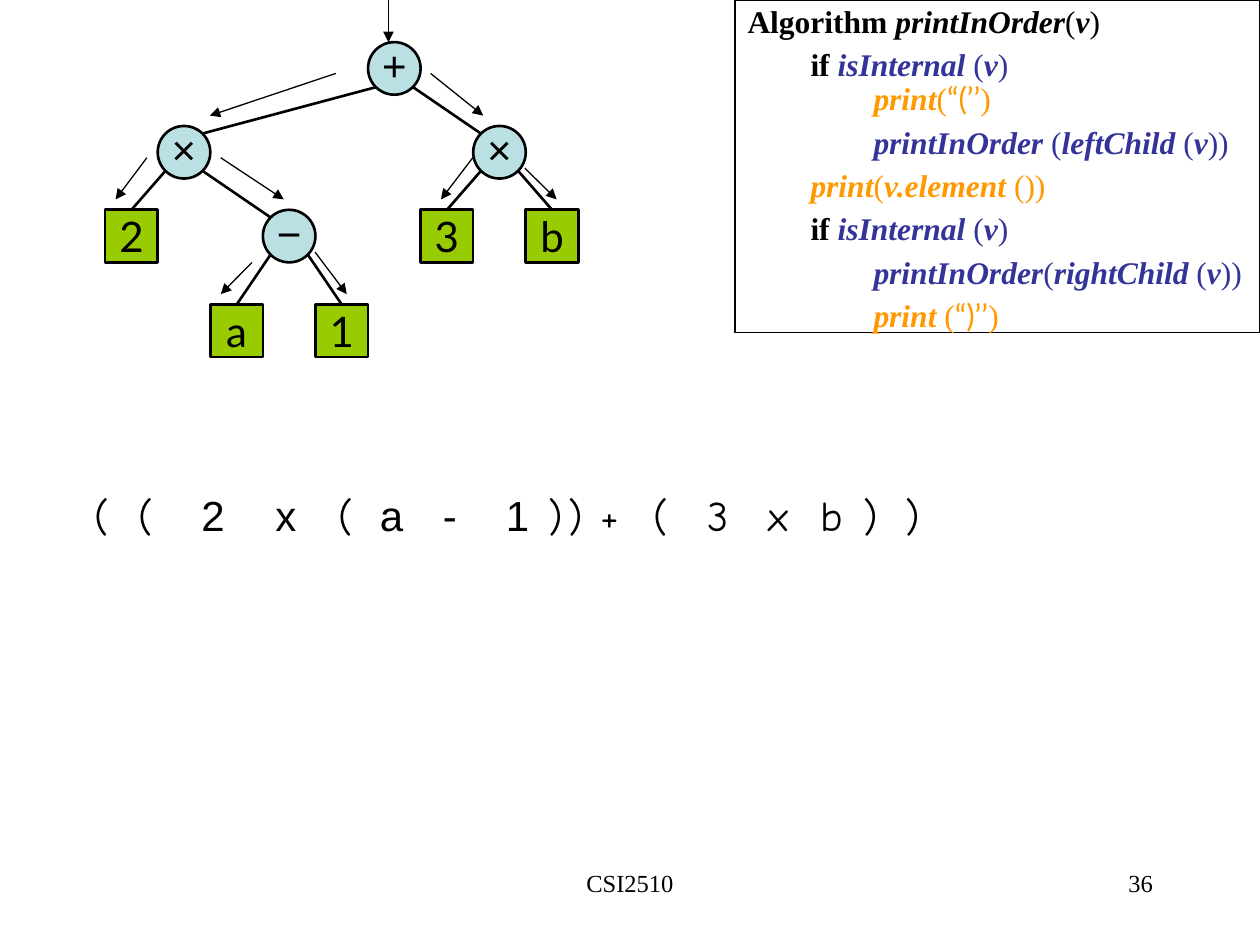
from dataclasses import dataclass

from lxml import etree
from pptx import Presentation
from pptx import util as u
from pptx.dml.color import RGBColor
from pptx.enum import shapes, text
from pptx.oxml import ns


@dataclass(frozen=True)
class Theme:
    ink: str = "000000"
    call: str = "333399"
    output: str = "FF9900"
    inner: str = "BBE0E3"
    leaf: str = "99CC00"
    serif: str = "Times New Roman"
    sans: str = "Arial"
    rounded: str = "Lato"
    hand: str = "Comic Neue"
    footer_size: int = 14
    code_size: int = 18
    node_size: int = 24
    thin: float = 0.75
    thick: float = 1.5


THEME = Theme()

# Tree geometry in cm: columns follow the in-order position
NODE = 1.06
TREE_LEFT = 2.12
ROW_TOPS = (0.85, 2.54, 4.23, 6.14)
DIAGONAL = 0.38

# Symbol and depth, in in-order sequence
NODES = [("2", 2), ("×", 1), ("a", 3), ("−", 2), ("1", 3),
         ("+", 0), ("3", 2), ("×", 1), ("b", 2)]
EDGES = [(5, 1), (5, 7), (7, 8), (7, 6), (3, 4), (3, 2), (1, 0), (1, 3)]

# Traversal arrows: from x, from y, to x, to y
ARROWS = [
    (7.83, 0, 7.83, 0.85), (6.77, 1.48, 4.23, 2.33),
    (2.96, 3.18, 2.33, 4.02), (4.45, 3.18, 5.72, 4.02),
    (5.08, 5.29, 4.45, 5.93), (6.35, 5.08, 6.99, 5.93),
    (8.68, 1.48, 9.74, 2.33), (9.53, 3.18, 8.89, 4.02),
    (10.58, 3.39, 11.22, 4.02),
]

# Printed expression: symbol, left, width, font
PAREN, SYMBOL, WIDE = 0.79, 0.96, 1.47
TOKENS = [
    ("(", 1.65, PAREN, THEME.hand), ("(", 2.54, PAREN, THEME.hand),
    ("2", 3.81, SYMBOL, THEME.sans), ("x", 5.3, SYMBOL, THEME.sans),
    ("(", 6.57, PAREN, THEME.hand), ("a", 7.41, SYMBOL, THEME.sans),
    ("-", 8.68, PAREN, THEME.sans), ("1", 9.95, SYMBOL, THEME.sans),
    (")", 10.8, PAREN, THEME.hand), (")", 11.22, PAREN, THEME.hand),
    ("+", 11.85, SYMBOL, THEME.hand), ("(", 12.92, PAREN, THEME.hand),
    ("3", 14.01, SYMBOL, THEME.hand), ("x", 15.24, WIDE, THEME.hand),
    ("b", 16.3, WIDE, THEME.hand), (")", 17.15, PAREN, THEME.hand),
    (")", 18, PAREN, THEME.hand),
]

# Span styles of the algorithm: colour and format values
STYLES = {
    "key": (THEME.ink, {"bold": True}),
    "name": (THEME.ink, {"bold": True, "italic": True}),
    "plain": (THEME.ink, {}),
    "call": (THEME.call, {"bold": True, "italic": True}),
    "call plain": (THEME.call, {}),
    "out": (THEME.output, {"bold": True, "italic": True}),
    "out plain": (THEME.output, {}),
    "quote": (THEME.output, {"name": THEME.rounded}),
}
TEST = [("if ", "key"), ("isInternal ", "call"), ("(", "call plain"),
        ("v", "call"), (")", "call plain")]


def recurse(name, child):
    return [(name, "call"), ("(", "call plain"), (child, "call"),
            ("(", "call plain"), ("v", "call"), ("))", "call plain")]


def bracket(name, quote):
    return [("\t", "plain"), (name, "out"), ("(", "out plain"),
            (quote, "quote"), (")", "out plain")]


# Indent level and spans of each paragraph; None breaks the line
ALGORITHM = [
    (0, [("Algorithm ", "key"), ("printInOrder", "name"), ("(", "plain"),
         ("v", "name"), (")", "plain")]),
    (1, TEST + [None] + bracket("print", "“(’’")),
    (2, recurse("printInOrder ", "leftChild ")),
    (1, [("print", "out"), ("(", "out plain"), ("v.element ", "out"),
         ("())", "out plain")]),
    (1, TEST),
    (2, recurse("printInOrder", "rightChild ")),
    (1, bracket("print ", "“)’’")),
]


def assign(target, values):
    for key, value in values.items():
        setattr(target, key, value)


def add_span(para, words, size, font, color=THEME.ink, **values):
    span = para.add_run()
    span.text = words
    assign(span.font, {"name": font, "size": u.Pt(size), **values})
    span.font.color.rgb = RGBColor.from_string(color)


def set_frame(frame, sides=0.25, top=0.13, bottom=0.13, wrap=True,
              anchor=text.MSO_ANCHOR.TOP):
    assign(frame, {"margin_left": u.Cm(sides), "margin_right": u.Cm(sides),
                   "margin_top": u.Cm(top), "margin_bottom": u.Cm(bottom),
                   "word_wrap": wrap, "vertical_anchor": anchor})


def add_label(page, words, place, size, font, align=text.PP_ALIGN.LEFT):
    box = page.shapes.add_textbox(*map(u.Cm, place))
    set_frame(box.text_frame)
    para = box.text_frame.paragraphs[0]
    para.alignment = align
    add_span(para, words, size, font)


def add_outlined(page, kind, place, weight, fill=None):
    shape = page.shapes.add_shape(kind, *map(u.Cm, place))
    shape.shadow.inherit = False
    if fill:
        shape.fill.solid()
        shape.fill.fore_color.rgb = RGBColor.from_string(fill)
    else:
        shape.fill.background()
    shape.line.color.rgb = RGBColor.from_string(THEME.ink)
    shape.line.width = u.Pt(weight)
    return shape


def add_line(page, ends, weight, arrow=False):
    line = page.shapes.add_connector(shapes.MSO_CONNECTOR.STRAIGHT, *map(u.Cm, ends))
    line.line.color.rgb = RGBColor.from_string(THEME.ink)
    line.line.width = u.Pt(weight)
    if arrow:
        etree.SubElement(line.line._get_or_add_ln(), ns.qn("a:tailEnd"), type="triangle")
    etree.SubElement(line._element.spPr, ns.qn("a:effectLst"))


def add_algorithm(page):
    box = add_outlined(page, shapes.MSO_SHAPE.RECTANGLE, (14.82, 0, 10.58, 6.7), THEME.thin)
    frame = box.text_frame
    set_frame(frame)
    for index, (level, spans) in enumerate(ALGORITHM):
        para = frame.add_paragraph() if index else frame.paragraphs[0]
        props = para._p.get_or_add_pPr()
        props.set("marL", str(u.Cm(1.27 * level)))
        props.set("indent", "0")
        if ("\t", "plain") in spans:
            tabs = etree.SubElement(props, ns.qn("a:tabLst"))
            etree.SubElement(tabs, ns.qn("a:tab"), pos=str(u.Cm(2.54)), algn="l")
        assign(para, {"level": level, "alignment": text.PP_ALIGN.LEFT,
                      "line_spacing": 0.9, "space_before": u.Pt(5.3 if index else 0)})
        for span in spans:
            if span is None:
                para.add_line_break()
                continue
            color, values = STYLES[span[1]]
            add_span(para, span[0], THEME.code_size,
                     color=color, **{"font": THEME.serif, **values})


def add_node(page, column, symbol, depth, is_inner):
    kind = shapes.MSO_SHAPE.OVAL if is_inner else shapes.MSO_SHAPE.RECTANGLE
    place = (TREE_LEFT + column * NODE, ROW_TOPS[depth], NODE, NODE)
    node = add_outlined(page, kind, place, THEME.thick, THEME.inner if is_inner else THEME.leaf)
    insets = {"sides": 0, "top": 0} if is_inner else {}
    set_frame(node.text_frame, wrap=False, anchor=text.MSO_ANCHOR.MIDDLE, **insets)
    para = node.text_frame.paragraphs[0]
    para.alignment = text.PP_ALIGN.CENTER
    add_span(para, symbol, THEME.node_size, THEME.sans if is_inner else THEME.rounded)


def center(column):
    return (TREE_LEFT + (column + 0.5) * NODE, ROW_TOPS[NODES[column][1]] + NODE / 2)


def add_tree(page):
    parents = {parent for parent, _ in EDGES}
    for column, (symbol, depth) in enumerate(NODES):
        add_node(page, column, symbol, depth, column in parents)
    for parent, child in EDGES:
        (x1, y1), (x2, y2) = center(parent), center(child)
        step = DIAGONAL if child > parent else -DIAGONAL
        end = (x2 - step, y2 - DIAGONAL) if child in parents else (x2, y2 - NODE / 2)
        add_line(page, (x1 + step, y1 + DIAGONAL, *end), THEME.thick)


def main():
    deck = Presentation()
    deck.slide_width, deck.slide_height = u.Cm(25.4), u.Cm(19.05)
    page = deck.slides.add_slide(deck.slide_layouts[6])

    # Footer
    add_label(page, "CSI2510", (8.68, 17.36, 8.04, 1.27), THEME.footer_size,
              THEME.serif, text.PP_ALIGN.CENTER)
    add_label(page, "36", (18.2, 17.36, 5.29, 1.27), THEME.footer_size,
              THEME.serif, text.PP_ALIGN.RIGHT)

    # Algorithm, tree and traversal
    add_algorithm(page)
    add_tree(page)
    for ends in ARROWS:
        add_line(page, ends, THEME.thin, arrow=True)

    # Printed expression
    for symbol, left, width, font in TOKENS:
        add_label(page, symbol, (left, 9.74, width, 1.27), THEME.node_size, font)

    deck.save("out.pptx")


if __name__ == "__main__":
    main()
